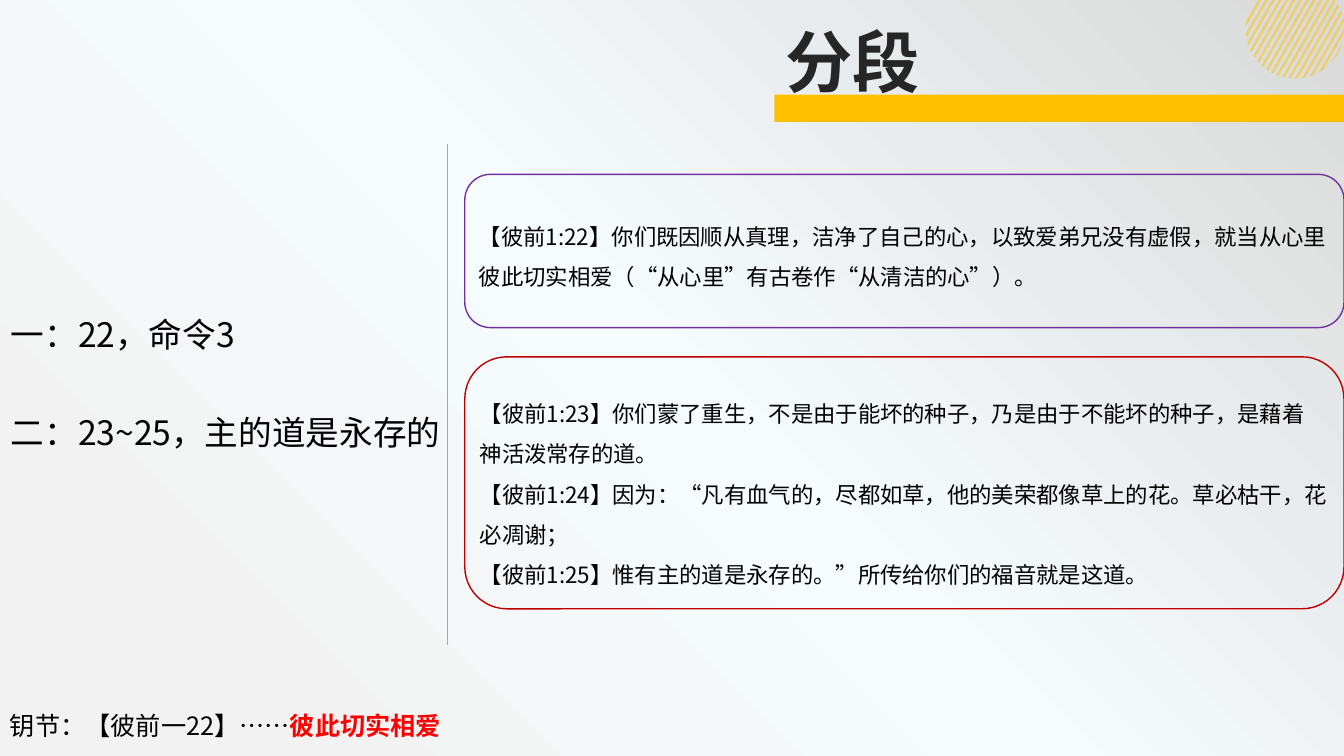
import math
from dataclasses import dataclass

import pptx
import pptx.dml.color
import pptx.enum.shapes
import pptx.enum.text
import pptx.oxml
import pptx.oxml.ns
import pptx.util

PX = 9144  # EMU per px, 100 px to the inch
FONT = "Noto Sans CJK SC"
AMBER = "FFC000"
BLACK = "000000"
SHAPES = pptx.enum.shapes.MSO_SHAPE
ANCHORS = pptx.enum.text.MSO_ANCHOR


@dataclass
class Box:
    left: int
    top: int
    width: int
    height: int

    def emu(self) -> list[int]:
        return [value * PX for value in (self.left, self.top, self.width, self.height)]


@dataclass
class Run:
    text: str
    color: str = BLACK
    bold: bool = False


@dataclass
class VerseCard:
    frame: Box
    text_box: Box
    inset: int
    line_color: str
    verses: list[str]


CARDS = [
    VerseCard(Box(461, 173, 872, 152), Box(468, 179, 872, 138), 7, "7030A0", [
        "【彼前1:22】你们既因顺从真理，洁净了自己的心，以致爱弟兄没有虚假，就当从心里彼此切实相爱（“从心里”有古卷作“从清洁的心”）。",
    ]),
    VerseCard(Box(461, 354, 872, 250), Box(466, 427, 863, 113), 10, "C00000", [
        "【彼前1:23】你们蒙了重生，不是由于能坏的种子，乃是由于不能坏的种子，是藉着　神活泼常存的道。",
        "【彼前1:24】因为：“凡有血气的，尽都如草，他的美荣都像草上的花。草必枯干，花必凋谢；",
        "【彼前1:25】惟有主的道是永存的。”所传给你们的福音就是这道。",
    ]),
]


def rgb(color: str) -> pptx.dml.color.RGBColor:
    return pptx.dml.color.RGBColor.from_string(color)


def set_background(slide) -> None:
    """Fill the slide with a radial gradient that spreads from the lower left."""
    slide.background.fill.gradient()
    gradient = slide.element.find(".//" + pptx.oxml.ns.qn("a:gradFill"))
    for child in list(gradient):
        gradient.remove(child)
    namespace = pptx.oxml.ns.nsdecls("a")
    gradient.append(pptx.oxml.parse_xml(
        f'<a:gsLst {namespace}>'
        '<a:gs pos="15000"><a:srgbClr val="F2F2F2"/></a:gs>'
        '<a:gs pos="50000"><a:srgbClr val="F6FCFE"><a:alpha val="27000"/></a:srgbClr></a:gs>'
        '<a:gs pos="100000"><a:srgbClr val="D9D9D9"/></a:gs></a:gsLst>'))
    gradient.append(pptx.oxml.parse_xml(
        f'<a:path {namespace} path="circle"><a:fillToRect t="100000" r="100000"/></a:path>'))


def add_text(slide, box: Box, paragraphs: list[list[Run]], *, size: int,
             line_spacing: float = 1.0, gap: int = 0, inset: int | None = None,
             anchor=ANCHORS.TOP) -> None:
    frame = slide.shapes.add_textbox(*box.emu()).text_frame
    frame.word_wrap = True
    frame.vertical_anchor = anchor
    if inset is not None:
        frame.margin_left = frame.margin_right = inset * PX
        frame.margin_top = frame.margin_bottom = inset * PX
    for index, runs in enumerate(paragraphs):
        paragraph = frame.add_paragraph() if index else frame.paragraphs[0]
        paragraph.line_spacing = line_spacing
        if index and gap:
            paragraph.space_before = pptx.util.Pt(gap)
        for item in runs:
            run = paragraph.add_run()
            run.text = item.text
            run.font.size = pptx.util.Pt(size)
            run.font.bold = item.bold
            run.font.color.rgb = rgb(item.color)
            run.font.name = FONT
            east_asian = pptx.oxml.parse_xml(
                f'<a:ea {pptx.oxml.ns.nsdecls("a")} typeface="{FONT}"/>')
            run.font._element.append(east_asian)


def add_shape(slide, kind, box: Box, *, fill: str | None = None,
              line: str | None = None) -> None:
    shape = slide.shapes.add_shape(kind, *box.emu())
    shape.shadow.inherit = False
    if fill:
        shape.fill.solid()
        shape.fill.fore_color.rgb = rgb(fill)
    else:
        shape.fill.background()
    if line:
        shape.line.color.rgb = rgb(line)
        shape.line.width = pptx.util.Pt(1)
    else:
        shape.line.fill.background()


def add_striped_disc(slide) -> None:
    """Draw slanted stripes inside a circle that the slide's top edge cuts."""
    center_x, center_y, radius = 1284.5, 29, 49
    count, first_offset, step, thickness = 17, -46.1, 5.86, 2.4
    across_x, across_y = math.cos(math.pi / 6), math.sin(math.pi / 6)

    def point(offset: float, side: int) -> tuple[int, int]:
        along = math.sqrt(radius ** 2 - offset ** 2)
        if side > 0:
            along = min(along, (center_y + offset * across_y) / across_x)
        x = center_x + offset * across_x + side * along * across_y
        y = center_y + offset * across_y - side * along * across_x
        return round(x * PX), round(y * PX)

    for index in range(count):
        start = first_offset + index * step
        end = min(start + thickness, radius)
        offsets = [start, (start + end) / 2, end]
        outline = [point(offset, 1) for offset in offsets]
        outline += [point(offset, -1) for offset in reversed(offsets)]
        builder = slide.shapes.build_freeform(*outline[0])
        builder.add_line_segments(outline[1:], close=True)
        stripe = builder.convert_to_shape()
        stripe.shadow.inherit = False
        stripe.fill.solid()
        stripe.fill.fore_color.rgb = rgb(AMBER)
        stripe.line.fill.background()
        color = stripe._element.spPr.find(".//" + pptx.oxml.ns.qn("a:srgbClr"))
        color.append(pptx.oxml.parse_xml(
            f'<a:alpha {pptx.oxml.ns.nsdecls("a")} val="50000"/>'))


def add_divider(slide, x: int, top: int, bottom: int) -> None:
    line = slide.shapes.add_connector(
        pptx.enum.shapes.MSO_CONNECTOR.STRAIGHT, x * PX, top * PX, x * PX, bottom * PX)
    line.line.color.rgb = rgb("A6A6A6")
    line.line.width = pptx.util.Pt(0.5)
    line._element.spPr.append(pptx.oxml.parse_xml(
        f'<a:effectLst {pptx.oxml.ns.nsdecls("a")}/>'))


def main() -> None:
    presentation = pptx.Presentation()
    presentation.slide_width = pptx.util.Inches(13.33)
    presentation.slide_height = pptx.util.Inches(7.5)
    slide = presentation.slides.add_slide(presentation.slide_layouts[6])
    set_background(slide)

    # Heading with its bar and corner ornament
    add_striped_disc(slide)
    add_shape(slide, SHAPES.RECTANGLE, Box(768, 94, 565, 27), fill=AMBER)
    add_text(slide, Box(769, 15, 460, 91), [[Run("分段", "262626", True)]], size=48)

    # Outline on the left
    outline = ["一：22，命令3", "二：23~25，主的道是永存的"]
    add_text(slide, Box(1, 299, 456, 153), [[Run(text)] for text in outline],
             size=24, line_spacing=1.2, gap=35)
    add_divider(slide, 444, 143, 640)

    # Verses on the right
    for card in CARDS:
        add_shape(slide, SHAPES.ROUNDED_RECTANGLE, card.frame, line=card.line_color)
        add_text(slide, card.text_box, [[Run(verse)] for verse in card.verses],
                 size=16, line_spacing=1.5, inset=card.inset, anchor=ANCHORS.MIDDLE)

    # Key verse
    add_text(slide, Box(0, 700, 1324, 40),
             [[Run("钥节：【彼前一22】……"), Run("彼此切实相爱", "FF0000", True)]], size=18)

    presentation.save("out.pptx")


if __name__ == "__main__":
    main()
